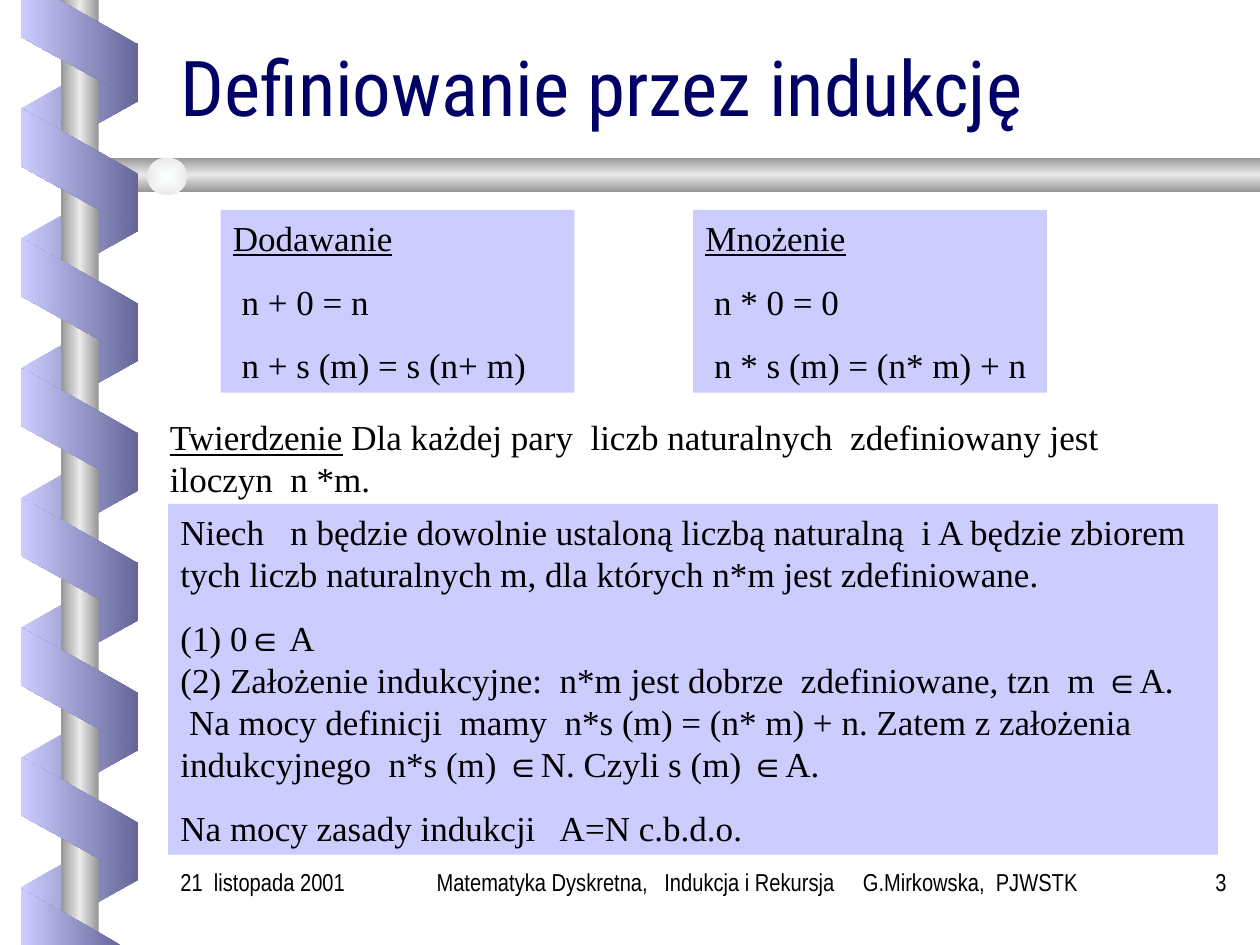
from dataclasses import dataclass

from lxml import etree
from pptx import Presentation
from pptx.dml.color import RGBColor
from pptx.enum.shapes import MSO_SHAPE
from pptx.enum.text import MSO_ANCHOR, PP_ALIGN
from pptx.oxml import parse_xml
from pptx.oxml.ns import nsdecls, qn
from pptx.util import Inches, Pt

RECT, OVAL, SLANT = MSO_SHAPE.RECTANGLE, MSO_SHAPE.OVAL, MSO_SHAPE.PARALLELOGRAM
TOP, BOTTOM = MSO_ANCHOR.TOP, MSO_ANCHOR.BOTTOM
LEFT, RIGHT = PP_ALIGN.LEFT, PP_ALIGN.RIGHT
COLS, ROWS = 120, 90
WIDTH, HEIGHT = Inches(10), Inches(7.5)
CELL = WIDTH // COLS


@dataclass(frozen=True)
class Theme:
    title_color: str = "000066"
    ink: str = "000000"
    panel: str = "CCCCFF"
    ribbon: tuple = ("CCCCFF", "666699")
    steel: tuple = ("969696", "EAEAEA", "969696")
    pearl: tuple = ("FEFFFF", "EAEAEA")
    title_font: str = "Roboto Condensed"
    body_font: str = "Times New Roman"
    symbol_font: str = "Arial"
    footer_font: str = "Arial Narrow"
    title_size: float = 44
    body_size: float = 20
    footer_size: float = 14
    body_gap: float = 12.5


@dataclass(frozen=True)
class Box:
    x: float
    y: float
    w: float
    h: float

    def inner(self, dx, dy, w, h):
        return Box(self.x + dx, self.y + dy, w, h)

    def emu(self):
        return [round(v * CELL) for v in (self.x, self.y, self.w, self.h)]


T = Theme()
UNDERLINED = {"underline": True}
MEMBER = ("∈", {"font": T.symbol_font})


def gradient(sp, colors, angle=None):
    last = len(colors) - 1
    stops = "".join(
        f'<a:gs pos="{100000 * i // last}"><a:srgbClr val="{c}"/></a:gs>'
        for i, c in enumerate(colors))
    if angle is None:
        shade = ('<a:path path="rect"><a:fillToRect l="50000" t="50000" '
                 'r="50000" b="50000"/></a:path>')
    else:
        shade = f'<a:lin ang="{angle * 60000}" scaled="0"/>'
    fill = parse_xml(f'<a:gradFill {nsdecls("a")} rotWithShape="0">'
                     f'<a:gsLst>{stops}</a:gsLst>{shade}</a:gradFill>')
    props = sp._element.spPr
    geometry = props.find(qn("a:prstGeom"))
    if geometry is None:
        geometry = props.find(qn("a:custGeom"))
    geometry.addnext(fill)


def finish(sp):
    sp.shadow.inherit = False
    sp.line.fill.background()
    return sp


def shape(s, kind, box):
    return finish(s.shapes.add_shape(kind, *box.emu()))


def outline(s, box, points):
    pts = [(round((box.x + x) * CELL), round((box.y + y) * CELL))
           for x, y in points]
    builder = s.shapes.build_freeform(*pts[0])
    builder.add_line_segments(pts[1:], close=True)
    return finish(builder.convert_to_shape())


def text(s, box, paragraphs, font=T.body_font, size=T.body_size, color=T.ink,
         align=LEFT, anchor=TOP, fill=None, gap=T.body_gap, spacing=None,
         tabs=()):
    if fill:
        sp = shape(s, RECT, box)
        sp.fill.solid()
        sp.fill.fore_color.rgb = RGBColor.from_string(fill)
    else:
        sp = s.shapes.add_textbox(*box.emu())
    tf = sp.text_frame
    tf.word_wrap = True
    tf.vertical_anchor = anchor
    for i, runs in enumerate(paragraphs):
        p = tf.paragraphs[0] if i == 0 else tf.add_paragraph()
        if tabs:
            stops = etree.SubElement(p._p.get_or_add_pPr(), qn("a:tabLst"))
            for col in tabs:
                etree.SubElement(stops, qn("a:tab"),
                                 pos=str(round(col * CELL)), algn="l")
        p.alignment = align
        if spacing:
            p.line_spacing = spacing
        if i:
            p.space_before = Pt(gap)
        for content, style in runs:
            for n, line in enumerate(content.split("\n")):
                if n:
                    p.add_line_break()
                r = p.add_run()
                r.text = line
                r.font.name = style.get("font", font)
                r.font.size = Pt(size)
                r.font.underline = style.get("underline", False)
                r.font.color.rgb = RGBColor.from_string(color)
    return sp


def ribbons(s, box, first, count, flipped):
    for i in range(count):
        sp = shape(s, SLANT, box.inner(0, first + 12.36 * i, 11.76, 11.16))
        sp.adjustments[0] = 0.56
        sp.rotation = 90 if flipped else 270
        if flipped:
            sp._element.spPr.find(qn("a:xfrm")).set("flipH", "1")
        gradient(sp, T.ribbon if flipped else T.ribbon[::-1], 180)


def spine_back(s, box):
    ribbons(s, box, 4.4, 7, True)
    gradient(shape(s, RECT, box.inner(4.1, 0, 3.6, box.h)), T.steel, 180)


def spine_front(s, box):
    ribbons(s, box, 10.6, 6, False)
    ends = [
        [(0.3, 0), (0.3, 3.5), (11.4, 9.7), (11.4, 4.2), (3.9, 0)],
        [(9.8, box.h), (0.3, 84.6), (0.3, box.h)],
    ]
    for points in ends:
        gradient(outline(s, box, points), T.ribbon[::-1], 180)


def divider(s, box):
    points = [(box.w, 0), (1.9, 0), (0, box.h / 2), (1.9, box.h), (box.w, box.h)]
    gradient(outline(s, box, points), T.steel, 90)
    gradient(shape(s, OVAL, box.inner(6.8, 0, 3.84, 3.6)), T.pearl)


def heading(s, box, title):
    text(s, box, [[(title, {})]], font=T.title_font, size=T.title_size,
         color=T.title_color, anchor=BOTTOM, spacing=0.8)


def definition(s, box, name, rules):
    text(s, box, [[(name, UNDERLINED)]] + [[(rule, {})] for rule in rules],
         fill=T.panel)


def theorem(s, box):
    text(s, box, [[
        ("Twierdzenie", UNDERLINED),
        (" Dla każdej pary  liczb naturalnych  zdefiniowany jest "
         "iloczyn  n *m.", {}),
    ]])


def proof(s, box):
    text(s, box, [
        [("Niech   n będzie dowolnie ustaloną liczbą naturalną  i A będzie "
          "zbiorem tych liczb naturalnych m, dla których n*m jest "
          "zdefiniowane.", {})],
        [("(1) 0", {}), MEMBER,
         (" A\n(2) Założenie indukcyjne:  n*m jest dobrze  zdefiniowane, "
          "tzn  m ", {}), MEMBER,
         ("A.\n Na mocy definicji  mamy  n*s (m) = (n* m) + n. Zatem z "
          "założenia indukcyjnego  n*s (m) ", {}), MEMBER,
         ("N. Czyli s (m) ", {}), MEMBER, ("A.", {})],
        [("Na mocy zasady indukcji   A=N c.b.d.o.", {})],
    ], fill=T.panel)


def footer(s, box):
    credit = "Matematyka Dyskretna,\tIndukcja i Rekursja\tG.Mirkowska,  PJWSTK"
    entries = [
        (0, 21, "21  listopada 2001", LEFT, ()),
        (24.4, 66, credit, LEFT, (21.7, 40.6)),
        (92, 10, "3", RIGHT, ()),
    ]
    for dx, w, content, align, tabs in entries:
        text(s, box.inner(dx, 0, w, box.h), [[(content, {})]],
             font=T.footer_font, size=T.footer_size, align=align, tabs=tabs)


def main():
    prs = Presentation()
    prs.slide_width, prs.slide_height = WIDTH, HEIGHT
    s = prs.slides.add_slide(prs.slide_layouts[6])
    spine = Box(1.7, 0, 11.76, ROWS)
    spine_back(s, spine)
    divider(s, Box(7.2, 15, COLS - 7.2, 3.3))
    spine_front(s, spine)
    heading(s, Box(16, 5.5, 102, 7.6), "Definiowanie przez indukcję")
    definition(s, Box(21, 20, 33.7, 17.4), "Dodawanie",
               [" n + 0 = n", " n + s (m) = s (n+ m)"])
    definition(s, Box(66, 20, 33.7, 17.4), "Mnożenie",
               [" n * 0 = 0", " n * s (m) = (n* m) + n"])
    theorem(s, Box(15, 39, 97, 9.2))
    proof(s, Box(16, 48, 100, 33.4))
    footer(s, Box(16, 82, 102, 6))
    prs.save("out.pptx")


if __name__ == "__main__":
    main()
